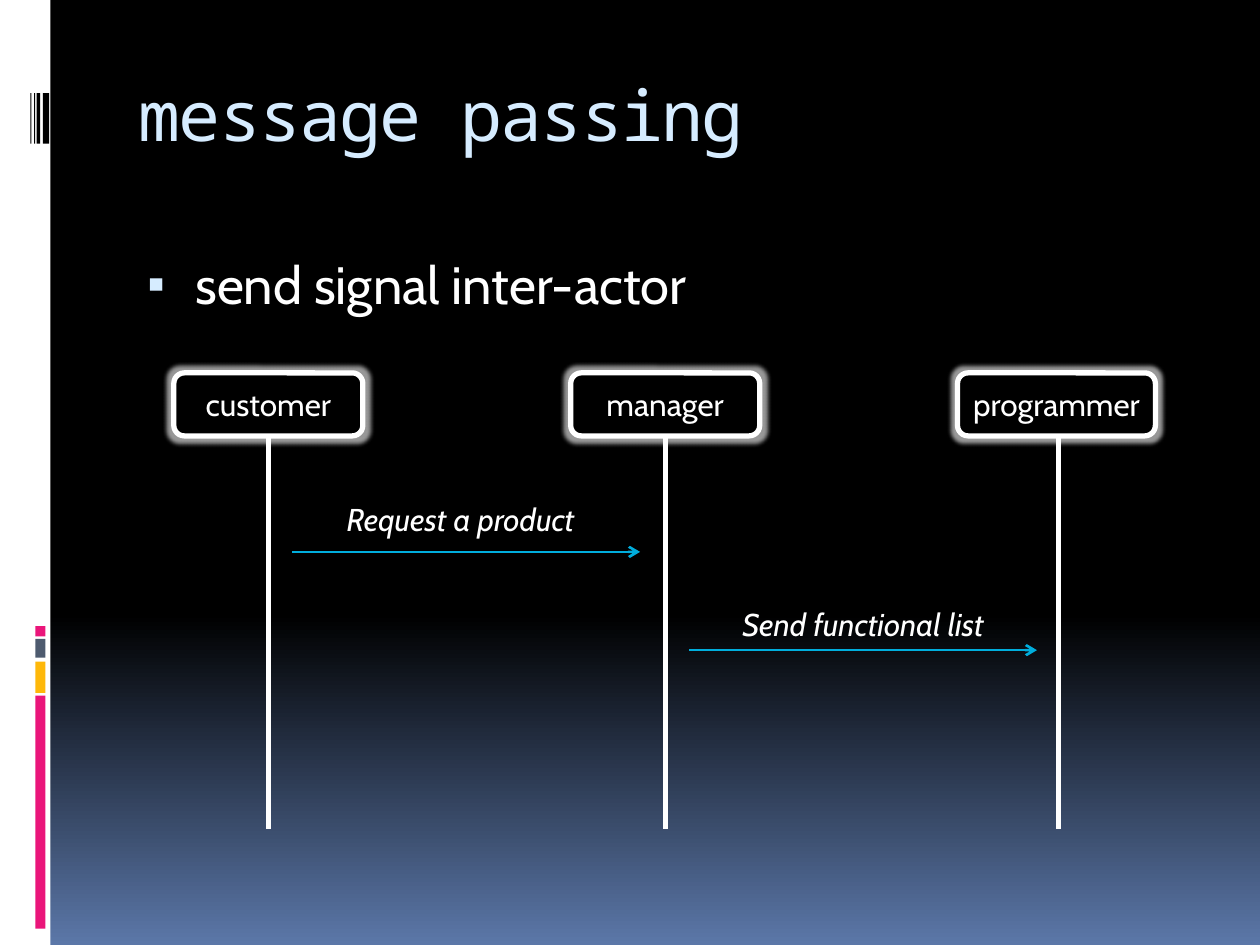
from copy import deepcopy
from dataclasses import dataclass

from pptx import Presentation
from pptx.dml.color import RGBColor as Rgb
from pptx.enum.shapes import MSO_CONNECTOR as Conn, MSO_SHAPE as Shp
from pptx.enum.text import MSO_ANCHOR as Anchor, PP_ALIGN as Align
from pptx.oxml import parse_xml
from pptx.oxml.ns import nsdecls
from pptx.util import Inches, Pt


@dataclass(frozen=True)
class Theme:
    black: str = "000000"
    white: str = "FFFFFF"
    dusk: str = "5B77A8"
    ice: str = "D6ECFF"
    cyan: str = "00ADDC"
    pink: str = "EA157A"
    gold: str = "FEB80A"
    slate: str = "4E5B6F"
    mono: str = "Noto Sans Mono"
    sans: str = "Cabin"
    head: int = 40
    body: int = 30
    small: int = 18


T = Theme()


def rgb(hexa):
    return Rgb.from_string(hexa)


def node(xml):
    """Parse one DrawingML element."""
    cut = xml.index("/>") if xml.find(">") > xml.find("/>") else xml.index(">")
    return parse_xml(f"{xml[:cut]} {nsdecls('a')}{xml[cut:]}")


def write(frame, text, size=T.small, font=T.sans, color=T.white,
          italic=False, align=Align.CENTER, anchor=Anchor.TOP, gap=None):
    frame.word_wrap = True
    frame.vertical_anchor = anchor
    par = frame.paragraphs[0]
    par.alignment = align
    run = par.add_run()
    run.text = text
    run.font.size, run.font.name = Pt(size), font
    run.font.italic, run.font.bold = italic, False
    run.font.color.rgb = rgb(color)
    if gap is not None:
        run.font._element.set("spc", str(gap * 100))
    return par


def place(shape, x, y, w, h):
    shape.left, shape.top = Inches(x), Inches(y)
    shape.width, shape.height = Inches(w), Inches(h)


def block(slide, x, y, w, h, fill, kind=Shp.RECTANGLE):
    shape = slide.shapes.add_shape(kind, Inches(x), Inches(y), Inches(w), Inches(h))
    shape.shadow.inherit = False
    shape.fill.solid()
    shape.fill.fore_color.rgb = rgb(fill)
    shape.line.fill.background()
    return shape


def actor(slide, name, x, w):
    box = block(slide, x, 2.96, w, 0.5, T.black, Shp.ROUNDED_RECTANGLE)
    box.line.color.rgb = rgb(T.white)
    box.line.width = Pt(3)
    glow = node('<a:glow rad="63500"><a:srgbClr val="FFFFFF">'
                '<a:alpha val="60000"/></a:srgbClr></a:glow>')
    box._element.spPr.find(".//{*}effectLst").append(glow)
    frame = box.text_frame
    frame.margin_left = frame.margin_right = Inches(0.05)
    write(frame, name, anchor=Anchor.MIDDLE)


def line(slide, x1, y1, x2, y2, color, width, arrow=False):
    wire = slide.shapes.add_connector(
        Conn.STRAIGHT, Inches(x1), Inches(y1), Inches(x2), Inches(y2))
    wire.line.color.rgb = rgb(color)
    wire.line.width = Pt(width)
    if arrow:
        wire.line._get_or_add_ln().append(node('<a:tailEnd type="arrow"/>'))
    wire._element.spPr.append(node("<a:effectLst/>"))


def label(slide, text, x, y, w):
    box = slide.shapes.add_textbox(Inches(x), Inches(y), Inches(w), Inches(0.4))
    write(box.text_frame, text, italic=True)


def backdrop(slide):
    fill = slide.background.fill
    fill.gradient()
    fill.gradient_angle = 270
    first = slide.element.xpath(".//p:bg//a:gs")[0]
    first.addnext(deepcopy(first))
    stops = ((0, T.black), (0.65, T.black), (1, T.dusk))
    for stop, (pos, color) in zip(fill.gradient_stops, stops):
        stop.position = pos
        stop.color.rgb = rgb(color)


def sidebar(slide):
    block(slide, 0, 0, 0.4, 7.5, T.white)
    for y, h, color in ((5.52, 1.85, T.pink), (5.25, 0.25, T.gold),
                        (5.07, 0.15, T.slate), (4.97, 0.08, T.pink)):
        block(slide, 0.28, y, 0.08, h, color)
    for x, w in ((0.34, 0.05), (0.29, 0.03), (0.27, 0.01), (0.24, 0.01)):
        block(slide, x, 0.74, w, 0.4, T.black)


def heading(slide, text):
    title = slide.shapes.title
    place(title, 1, 0.56, 8.5, 1)
    title.text_frame.margin_top = Inches(0.01)
    write(title.text_frame, text, size=T.head, font=T.mono, color=T.ice,
          align=Align.LEFT, gap=-1)


def bullet(slide, text):
    body = slide.placeholders[1]
    place(body, 1, 1.95, 8.5, 5)
    par = write(body.text_frame, text, size=T.body, align=Align.LEFT)
    par.space_before = Pt(7)
    props = par._p.get_or_add_pPr()
    props.set("marL", str(Inches(0.45)))
    props.set("indent", str(Inches(-0.38)))
    for xml in (f'<a:buClr><a:srgbClr val="{T.ice}"/></a:buClr>',
                '<a:buSzPct val="95000"/>', '<a:buFont typeface="Arial"/>',
                '<a:buChar char="▪"/>'):
        props.append(node(xml))


def main():
    deck = Presentation()
    deck.slide_width, deck.slide_height = Inches(10), Inches(7.5)
    slide = deck.slides.add_slide(deck.slide_layouts[1])

    # Frame and text
    backdrop(slide)
    sidebar(slide)
    heading(slide, "message passing")
    bullet(slide, "send signal inter-actor")

    # Actors with their lifelines
    for name, x, w, mid in (("customer", 1.38, 1.5, 2.13),
                            ("manager", 4.53, 1.5, 5.28),
                            ("programmer", 7.6, 1.57, 8.4)):
        actor(slide, name, x, w)
        line(slide, mid, 3.45, mid, 6.58, T.white, 3)

    # Messages
    for text, x, y, left, top, w in (
            ("Request a product", 2.32, 4.38, 2.24, 3.92, 2.83),
            ("Send functional list", 5.47, 5.16, 5.47, 4.75, 2.76)):
        line(slide, x, y, x + 2.76, y, T.cyan, 1.5, arrow=True)
        label(slide, text, left, top, w)

    deck.save("out.pptx")


main()
